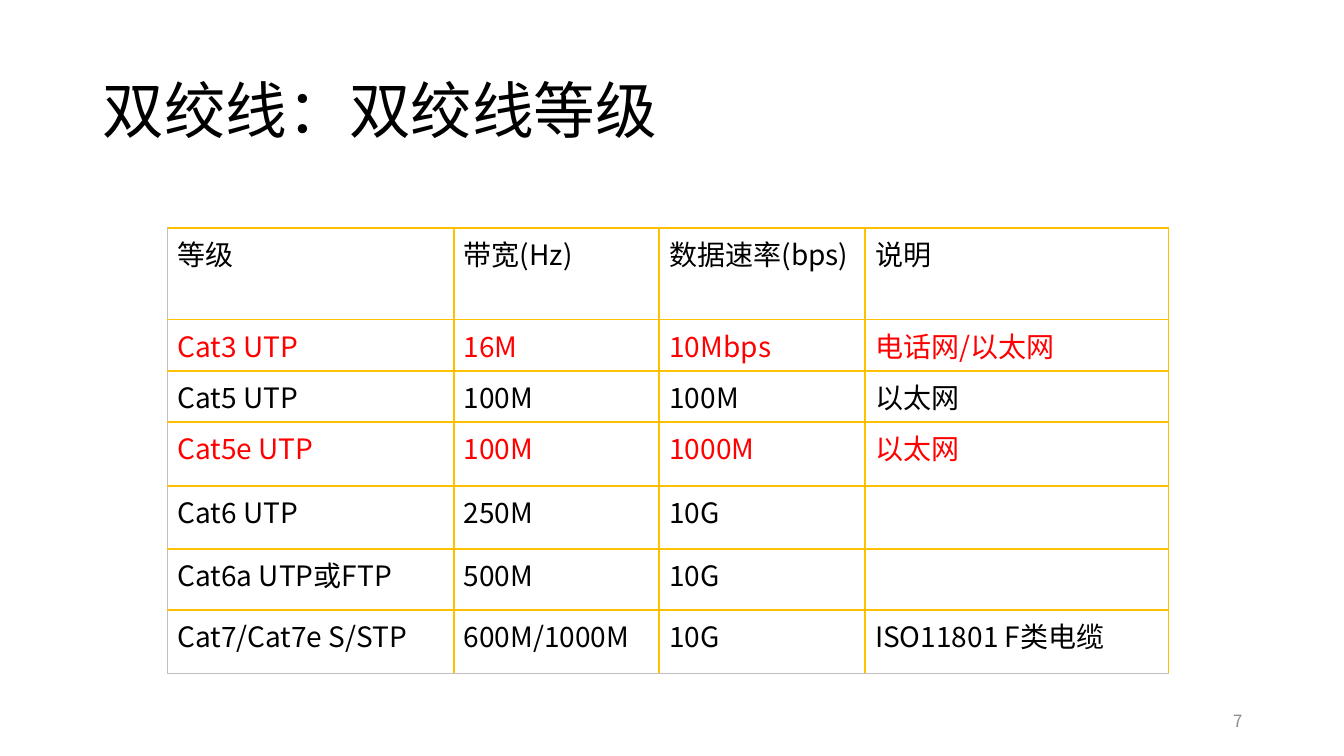
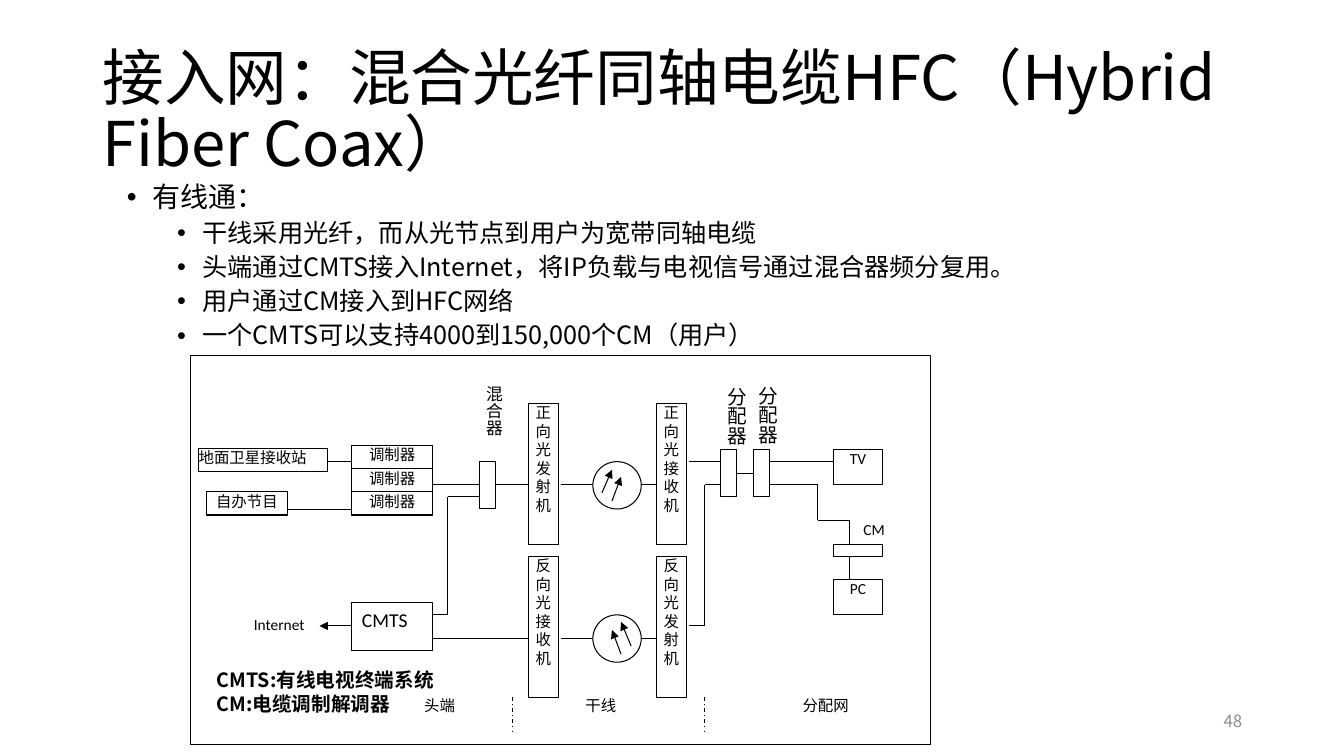
from itertools import pairwise

from lxml import etree
from pptx import Presentation
from pptx.dml.color import RGBColor
from pptx.enum.dml import MSO_LINE
from pptx.enum.shapes import MSO_CONNECTOR, MSO_SHAPE
from pptx.enum.text import MSO_ANCHOR, PP_ALIGN
from pptx.oxml.ns import qn
from pptx.util import Pt

PX = 9144  # 100 px to the inch
RECT, OVAL = MSO_SHAPE.RECTANGLE, MSO_SHAPE.OVAL
STRAIGHT = MSO_CONNECTOR.STRAIGHT
DASH = MSO_LINE.DASH_DOT
LEFT, MID, RIGHT, JUST = (
    PP_ALIGN.LEFT, PP_ALIGN.CENTER, PP_ALIGN.RIGHT, PP_ALIGN.JUSTIFY)
TOP, MIDDLE = MSO_ANCHOR.TOP, MSO_ANCHOR.MIDDLE
SANS, LATIN = "Noto Sans CJK SC", "Calibri"
COLORS = {"ink": "000000", "paper": "FFFFFF", "red": "FF0000",
          "gold": "FFC000", "grey": "8C8C8C", "rule": "BFBFBF"}


def write(frame, lines, size, font=SANS, color="ink", align=LEFT,
          bold=False, space=None, inset=(10, 5, 10, 5), anchor=TOP):
    """Fill a text frame, one paragraph to a line."""
    frame.word_wrap = True
    frame.vertical_anchor = anchor
    (frame.margin_left, frame.margin_top,
     frame.margin_right, frame.margin_bottom) = [n * PX for n in inset]
    for i, line in enumerate(lines):
        para = frame.add_paragraph() if i else frame.paragraphs[0]
        para.alignment = align
        if space:
            para.line_spacing = space
        run = para.add_run()
        run.text = line
        run.font.size = Pt(size)
        run.font.name = font
        run.font.bold = bold
        run.font.color.rgb = RGBColor.from_string(COLORS[color])
        east = etree.SubElement(run.font._element, qn("a:ea"))
        east.set("typeface", font)


def draw(shapes, points, arrow=False, dash=None):
    """Join the points with straight lines."""
    for (x1, y1), (x2, y2) in pairwise(points):
        wire = shapes.add_connector(
            STRAIGHT, x1 * PX, y1 * PX, x2 * PX, y2 * PX)
        wire.line.color.rgb = RGBColor.from_string(COLORS["ink"])
        wire.line.width = Pt(0.75)
        if dash:
            wire.line.dash_style = dash
        if arrow:
            tip = etree.SubElement(wire.line._get_or_add_ln(), qn("a:tailEnd"))
            tip.set("type", "triangle")
        etree.SubElement(wire._element.spPr, qn("a:effectLst"))


deck = Presentation()
deck.slide_width, deck.slide_height = 1333 * PX, 750 * PX

# Title and page number of each slide
pages = []
for title, number in [
        ("双绞线：双绞线等级", "7"),
        ("接入网：混合光纤同轴电缆HFC（Hybrid Fiber Coax）", "48")]:
    page = deck.slides.add_slide(deck.slide_layouts[6])
    head = page.shapes.add_textbox(92 * PX, 40 * PX, 1150 * PX, 145 * PX)
    write(head.text_frame, [title], 44, space=0.9, anchor=MIDDLE)
    foot = page.shapes.add_textbox(942 * PX, 695 * PX, 300 * PX, 40 * PX)
    write(foot.text_frame, [number], 12, color="grey", align=RIGHT,
          anchor=MIDDLE)
    pages.append(page)
grades, access = pages

# Table of cable grades: height, colour, cells
rows = [
    (91, "ink", ["等级", "带宽(Hz)", "数据速率(bps)", "说明"]),
    (51, "red", ["Cat3 UTP", "16M", "10Mbps", "电话网/以太网"]),
    (51, "ink", ["Cat5 UTP", "100M", "100M", "以太网"]),
    (63, "red", ["Cat5e UTP", "100M", "1000M", "以太网"]),
    (63, "ink", ["Cat6 UTP", "250M", "10G", ""]),
    (60, "ink", ["Cat6a UTP或FTP", "500M", "10G", ""]),
    (63, "ink", ["Cat7/Cat7e S/STP", "600M/1000M", "10G", "ISO11801 F类电缆"]),
]
widths = [284, 204, 204, 301]
table = grades.shapes.add_table(
    len(rows), len(widths), 166 * PX, 226 * PX, sum(widths) * PX,
    sum(row[0] for row in rows) * PX).table
table.first_row = table.horz_banding = False
for col, width in zip(table.columns, widths):
    col.width = width * PX
for r, (height, color, words) in enumerate(rows):
    table.rows[r].height = height * PX
    for c, word in enumerate(words):
        cell = table.cell(r, c)
        if word:
            write(cell.text_frame, [word], 20, color=color)
        else:
            cell.text_frame.paragraphs[0].font.size = Pt(20)
        props = cell._tc.get_or_add_tcPr()
        for side in ("lnL", "lnR", "lnT", "lnB"):
            # The left and bottom outer edges are thin
            thin = (side == "lnL" and c == 0
                    or side == "lnB" and r == len(rows) - 1)
            edge = etree.SubElement(props, qn("a:" + side))
            edge.set("w", str(Pt(0.5 if thin else 1.5)))
            paint = etree.SubElement(edge, qn("a:solidFill"))
            tint = etree.SubElement(paint, qn("a:srgbClr"))
            tint.set("val", COLORS["rule" if thin else "gold"])
        cell.fill.background()

# Bullets on the access network
body = access.shapes.add_textbox(116 * PX, 177 * PX, 1150 * PX, 476 * PX)
write(body.text_frame, [
    "有线通：",
    "干线采用光纤，而从光节点到用户为宽带同轴电缆",
    "头端通过CMTS接入Internet，将IP负载与电视信号通过混合器频分复用。",
    "用户通过CM接入到HFC网络",
    "一个CMTS可以支持4000到150,000个CM（用户）",
], 18, space=0.9)
for i, para in enumerate(body.text_frame.paragraphs):
    if i:
        para.level = 1
        para.space_before = Pt(5)
    else:
        para.runs[0].font.size = Pt(20)
    props = para._p.get_or_add_pPr()
    props.set("marL", str((75 if i else 25) * PX))
    props.set("indent", str(-25 * PX))
    face = etree.SubElement(props, qn("a:buFont"))
    face.set("typeface", "Arial")
    etree.SubElement(props, qn("a:buChar")).set("char", "•")

# Diagram boxes: shape, place, text, outlined
parts = access.shapes.add_group_shape().shapes
boxes = [
    (RECT, 189, 353, 734, 386, "", True),
    (RECT, 205, 658, 239, 56, "", False),
    (RECT, 843, 516, 48, 35, "CM", False),
    (RECT, 197, 445, 128, 23, "地面卫星接收站", True),
    (RECT, 205, 488, 80, 23, "自办节目", True),
    (RECT, 476, 458, 16, 47, "", True),
    (RECT, 349, 598, 80, 47, "CMTS", True),
    (RECT, 827, 446, 48, 35, "TV", True),
    (RECT, 827, 575, 48, 35, "PC", True),
    (RECT, 237, 610, 80, 35, "Internet", False),
    (RECT, 396, 691, 80, 35, "头端", False),
    (RECT, 779, 691, 80, 35, "分配网", False),
    (RECT, 556, 691, 80, 35, "干线", False),
]
boxes += [(RECT, 349, 442 + 23 * i, 80, 23, "调制器", True) for i in range(3)]
boxes += [(RECT, x, 446, 16, 47, "", True) for x in (715, 747)]
boxes += [(RECT, 524 + 127 * i, 400 + 152 * j, 30, 140, word, True)
          for j, pair in enumerate([("正向光发射机", "正向光接收机"),
                                    ("反向光接收机", "反向光发射机")])
          for i, word in enumerate(pair)]
for kind, x, y, w, h, word, lined in boxes:
    box = parts.add_shape(kind, x * PX, y * PX, w * PX, h * PX)
    box.shadow.inherit = False
    box.fill.solid()
    box.fill.fore_color.rgb = RGBColor.from_string(COLORS["paper"])
    if lined:
        box.line.color.rgb = RGBColor.from_string(COLORS["ink"])
        box.line.width = Pt(0.75)
    else:
        box.line.fill.background()
    if w == 734:
        box.fill.background()
    elif w == 239:
        write(box.text_frame, ["CMTS:有线电视终端系统", "CM:电缆调制解调器"],
              14, align=JUST, bold=True)
    elif word == "CMTS":
        write(box.text_frame, [word], 14, LATIN, align=JUST)
    elif word:
        write(box.text_frame, [word], 11, LATIN, inset=(0, 0, 0, 0),
              align=LEFT if w == 128 else MID)

# Upright labels
for x, y, word, size in [(468, 383, "混合器", 12), (710, 384, "分配器", 14),
                         (741, 383, "分配器", 14)]:
    label = parts.add_textbox(x * PX, y * PX, 32 * PX, 59 * PX)
    write(label.text_frame, [word], size, LATIN, align=MID,
          inset=(0, 0, 0, 0))
    label.text_frame._txBody.bodyPr.set("vert", "eaVert")

# Wires
for route in [
        [(827, 458), (763, 458)],
        [(763, 481), (811, 481), (811, 516), (843, 516), (843, 540)],
        [(843, 551), (843, 575)],
        [(683, 458), (715, 458)],
        [(683, 621), (699, 621), (699, 481), (715, 481)],
        [(731, 470), (747, 470)],
        [(428, 481), (476, 481)],
        [(428, 610), (444, 610), (444, 493), (476, 493)],
        [(428, 633), (524, 633)],
        [(556, 633), (652, 633)],
        [(492, 481), (524, 481)],
        [(556, 481), (652, 481)],
        [(325, 458), (349, 458)],
        [(285, 505), (349, 505)]]:
    draw(parts, route)
draw(parts, [(349, 621), (317, 621)], arrow=True)
for x in (508, 699):
    draw(parts, [(x, 691), (x, 726)], dash=DASH)

# Cable modem and fibre links, laid over the wires
for kind, x, y, w, h in [(RECT, 827, 540, 48, 12), (OVAL, 588, 610, 48, 47),
                         (OVAL, 588, 458, 48, 47)]:
    node = parts.add_shape(kind, x * PX, y * PX, w * PX, h * PX)
    node.shadow.inherit = False
    node.fill.solid()
    node.fill.fore_color.rgb = RGBColor.from_string(COLORS["paper"])
    node.line.color.rgb = RGBColor.from_string(COLORS["ink"])
    node.line.width = Pt(0.75)
for ray in [[(626, 641), (616, 617)], [(616, 649), (607, 625)],
            [(597, 489), (607, 466)], [(607, 497), (616, 473)]]:
    draw(parts, ray, arrow=True)

deck.save("out.pptx")
